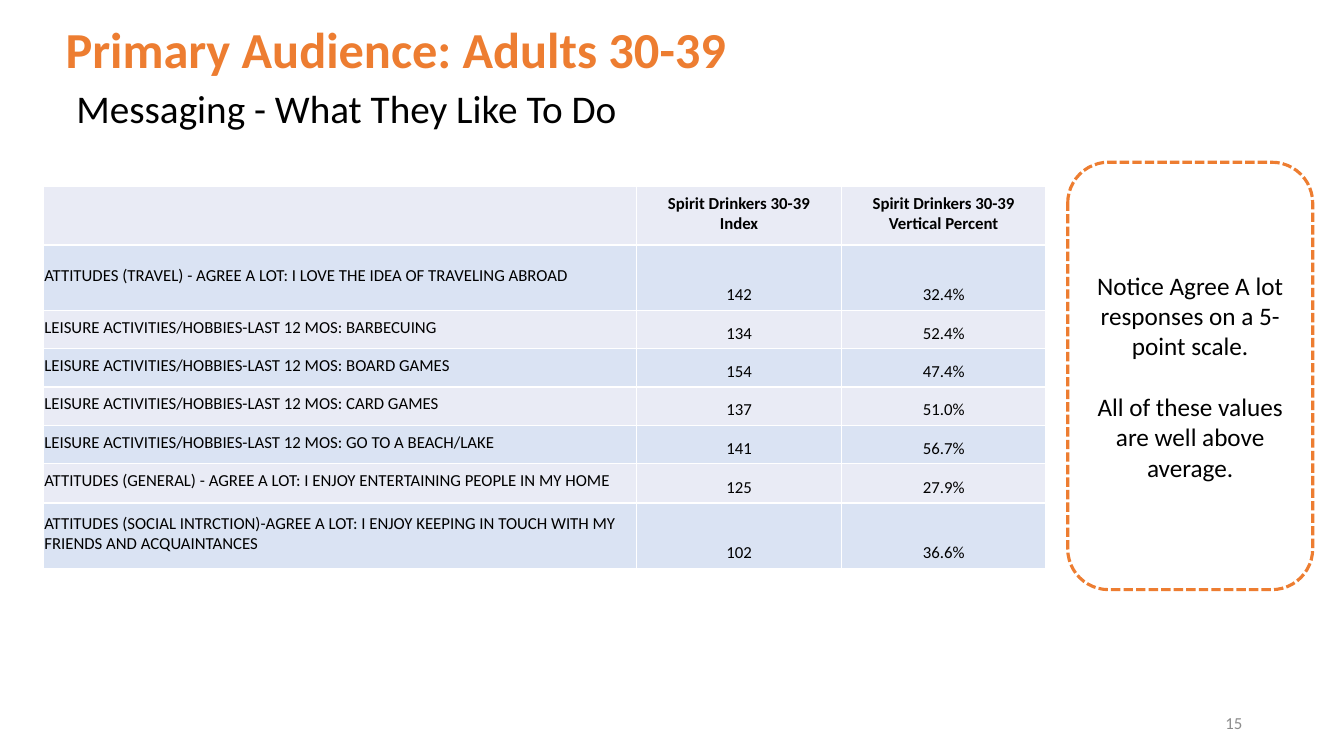
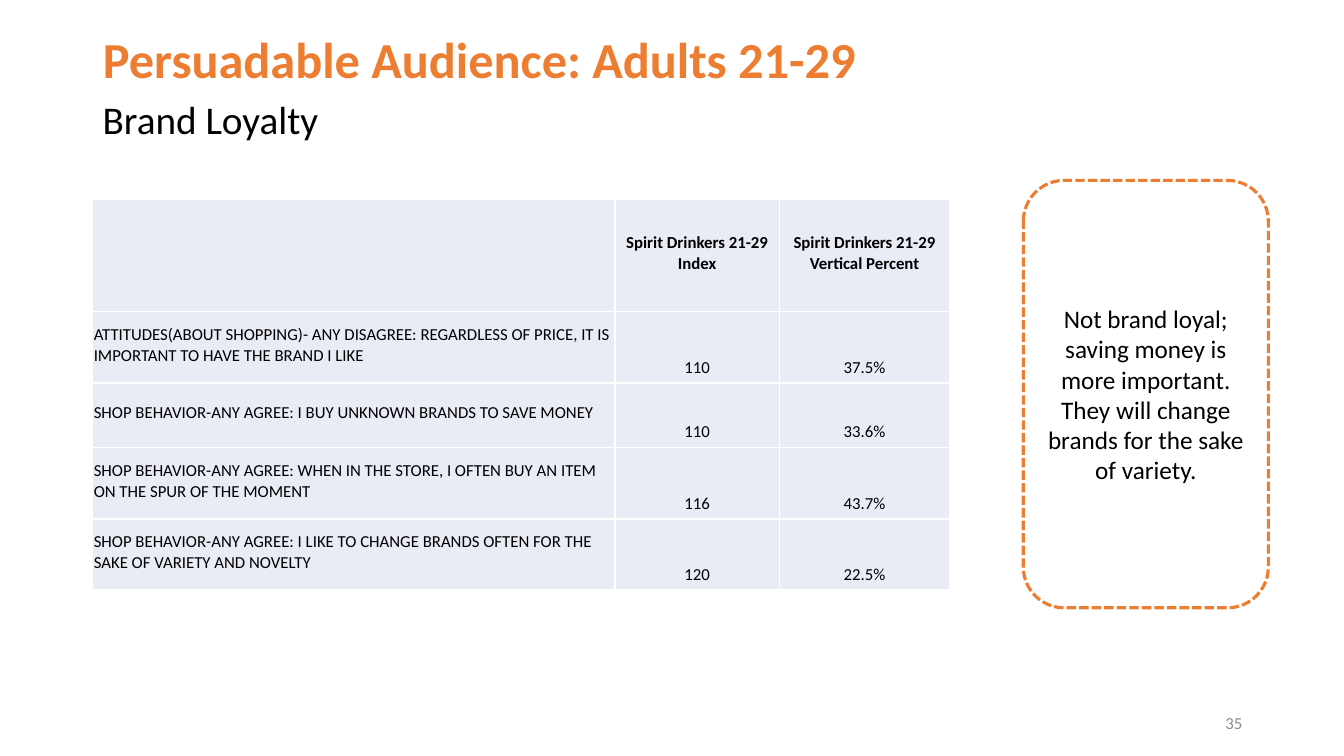
from dataclasses import dataclass

from lxml import etree
from pptx import Presentation
from pptx import util as u
from pptx.dml.color import RGBColor
from pptx.enum import dml, shapes, text
from pptx.oxml.ns import qn

LEFT, CENTER, RIGHT = text.PP_ALIGN.LEFT, text.PP_ALIGN.CENTER, text.PP_ALIGN.RIGHT
TOP, MIDDLE, BOTTOM = (
    text.MSO_ANCHOR.TOP, text.MSO_ANCHOR.MIDDLE, text.MSO_ANCHOR.BOTTOM)


@dataclass(frozen=True)
class Theme:
    font: str = "Calibri"
    accent: str = "ED7D31"
    ink: str = "000000"
    muted: str = "8C8C8C"
    paper: str = "FFFFFF"
    pale: str = "E9EBF5"
    blue: str = "DAE3F3"
    title: int = 36
    subtitle: int = 28
    callout: int = 18
    small: int = 12
    dash_width: float = 2.25
    grid_width: float = 1


@dataclass(frozen=True)
class Box:
    left: float
    top: float
    width: float
    height: float

    def inches(self):
        return [u.Inches(v) for v in (self.left, self.top, self.width, self.height)]


THEME = Theme()
CALLOUT_SIZE = (2.43, 4.24)
NUMBER_BOX = Box(9.42, 6.97, 3, 0.4)


def color(value):
    return RGBColor.from_string(value)


def write(frame, lines, *, size, ink=THEME.ink, bold=False, align=LEFT,
          line_spacing=None, gap=0):
    frame.word_wrap = True
    for index, line in enumerate(lines):
        para = frame.paragraphs[0] if index == 0 else frame.add_paragraph()
        para.alignment = align
        para.space_before = u.Pt(gap if index else 0)
        if line_spacing:
            para.line_spacing = line_spacing
        span = para.add_run()
        span.text = line
        span.font.name = THEME.font
        span.font.size = u.Pt(size)
        span.font.bold = bold
        span.font.color.rgb = color(ink)


def add_title(page, box, line):
    title = page.shapes.title
    title.left, title.top, title.width, title.height = box.inches()
    frame = title.text_frame
    frame.auto_size = text.MSO_AUTO_SIZE.NONE
    frame.vertical_anchor = BOTTOM
    write(frame, [line], size=THEME.title, ink=THEME.accent, bold=True,
          line_spacing=0.9)


def add_label(page, box, line, anchor=TOP, **style):
    label = page.shapes.add_textbox(*box.inches())
    label.text_frame.vertical_anchor = anchor
    write(label.text_frame, [line], **style)


def add_callout(page, box, lines):
    callout = page.shapes.add_shape(
        shapes.MSO_SHAPE.ROUNDED_RECTANGLE, *box.inches())
    callout.shadow.inherit = False
    callout.fill.solid()
    callout.fill.fore_color.rgb = color(THEME.paper)
    callout.line.color.rgb = color(THEME.accent)
    callout.line.width = u.Pt(THEME.dash_width)
    callout.line.dash_style = dml.MSO_LINE.SQUARE_DOT
    callout.text_frame.vertical_anchor = MIDDLE
    write(callout.text_frame, lines, size=THEME.callout, align=CENTER, gap=22)


def format_cell(cell, fill, anchor):
    cell.margin_left = cell.margin_right = cell.margin_top = u.Inches(0.01)
    cell.margin_bottom = u.Inches(0.05)
    cell.vertical_anchor = anchor
    cell.fill.solid()
    cell.fill.fore_color.rgb = color(fill)
    properties = cell._tc.get_or_add_tcPr()
    for index, side in enumerate(("lnL", "lnR", "lnT", "lnB")):
        border = etree.Element(qn(f"a:{side}"), w=str(u.Pt(THEME.grid_width)))
        solid = etree.SubElement(border, qn("a:solidFill"))
        etree.SubElement(solid, qn("a:srgbClr"), val=THEME.paper)
        properties.insert(index, border)


def add_data_table(page, left, top, widths, heights, group, rows, bands):
    box = Box(left, top, sum(widths), sum(heights))
    table = page.shapes.add_table(len(heights), len(widths), *box.inches()).table
    table.first_row = table.horz_banding = False
    for column, width in zip(table.columns, widths):
        column.width = u.Inches(width)
    for row, height in zip(table.rows, heights):
        row.height = u.Inches(height)
    header = [[], [group, "Index"], [group, "Vertical Percent"]]
    body = [[[label], [str(index)], [f"{percent:.1f}%"]]
            for label, index, percent in rows]
    for r, entries in enumerate([header] + body):
        for c, lines in enumerate(entries):
            cell = table.cell(r, c)
            anchor = BOTTOM if r and c else MIDDLE
            format_cell(cell, bands[r % len(bands)], anchor)
            write(cell.text_frame, lines, size=THEME.small, bold=r == 0,
                  align=CENTER if c else LEFT)


def add_audience_page(deck, *, title, title_box, subtitle, subtitle_box,
                      table, callout, callout_at, number):
    page = deck.slides.add_slide(deck.slide_layouts[5])
    add_title(page, title_box, title)
    add_label(page, subtitle_box, subtitle, size=THEME.subtitle, line_spacing=0.9)
    add_data_table(page, **table)
    add_callout(page, Box(*callout_at, *CALLOUT_SIZE), callout)
    add_label(page, NUMBER_BOX, number, anchor=MIDDLE, size=THEME.small,
              ink=THEME.muted, align=RIGHT)


def main():
    deck = Presentation()
    deck.slide_width, deck.slide_height = u.Inches(13.33), u.Inches(7.5)
    hobby = "LEISURE ACTIVITIES/HOBBIES-LAST 12 MOS: "
    shop = "SHOP BEHAVIOR-ANY AGREE: "
    add_audience_page(
        deck,
        title="Primary Audience: Adults 30-39",
        title_box=Box(0.55, 0.14, 11.5, 0.7),
        subtitle="Messaging - What They Like To Do",
        subtitle_box=Box(0.66, 0.84, 8.93, 0.54),
        table=dict(
            left=0.43, top=1.85, widths=[5.88, 2.04, 2.02],
            heights=[0.58, 0.65] + [0.38] * 4 + [0.39, 0.65],
            group="Spirit Drinkers 30-39", bands=[THEME.pale, THEME.blue],
            rows=[
                ("ATTITUDES (TRAVEL) - AGREE A LOT: I LOVE THE IDEA OF "
                 "TRAVELING ABROAD", 142, 32.4),
                (hobby + "BARBECUING", 134, 52.4),
                (hobby + "BOARD GAMES", 154, 47.4),
                (hobby + "CARD GAMES", 137, 51.0),
                (hobby + "GO TO A BEACH/LAKE", 141, 56.7),
                ("ATTITUDES (GENERAL) - AGREE A LOT: I ENJOY ENTERTAINING "
                 "PEOPLE IN MY HOME", 125, 27.9),
                ("ATTITUDES (SOCIAL INTRCTION)-AGREE A LOT: I ENJOY KEEPING "
                 "IN TOUCH WITH MY FRIENDS AND ACQUAINTANCES", 102, 36.6),
            ]),
        callout=["Notice Agree A lot responses on a 5-point scale.",
                 "All of these values are well above average."],
        callout_at=(10.59, 1.61),
        number="15")
    add_audience_page(
        deck,
        title="Persuadable Audience: Adults 21-29",
        title_box=Box(0.92, 0.24, 11.5, 0.7),
        subtitle="Brand Loyalty",
        subtitle_box=Box(0.92, 0.95, 11.5, 0.54),
        table=dict(
            left=0.92, top=1.98, widths=[5.18, 1.63, 1.69],
            heights=[1.11, 0.71, 0.64, 0.71, 0.7],
            group="Spirit Drinkers 21-29", bands=[THEME.pale],
            rows=[
                ("ATTITUDES(ABOUT SHOPPING)- ANY DISAGREE: REGARDLESS OF "
                 "PRICE, IT IS IMPORTANT TO HAVE THE BRAND I LIKE", 110, 37.5),
                (shop + "I BUY UNKNOWN BRANDS TO SAVE MONEY", 110, 33.6),
                (shop + "WHEN IN THE STORE, I OFTEN BUY AN ITEM ON THE SPUR "
                 "OF THE MOMENT", 116, 43.7),
                (shop + "I LIKE TO CHANGE BRANDS OFTEN FOR THE SAKE OF "
                 "VARIETY AND NOVELTY", 120, 22.5),
            ]),
        callout=["Not brand loyal; saving money is more important. They will "
                 "change brands for the sake of variety."],
        callout_at=(10.15, 1.79),
        number="35")
    deck.save("out.pptx")


if __name__ == "__main__":
    main()
